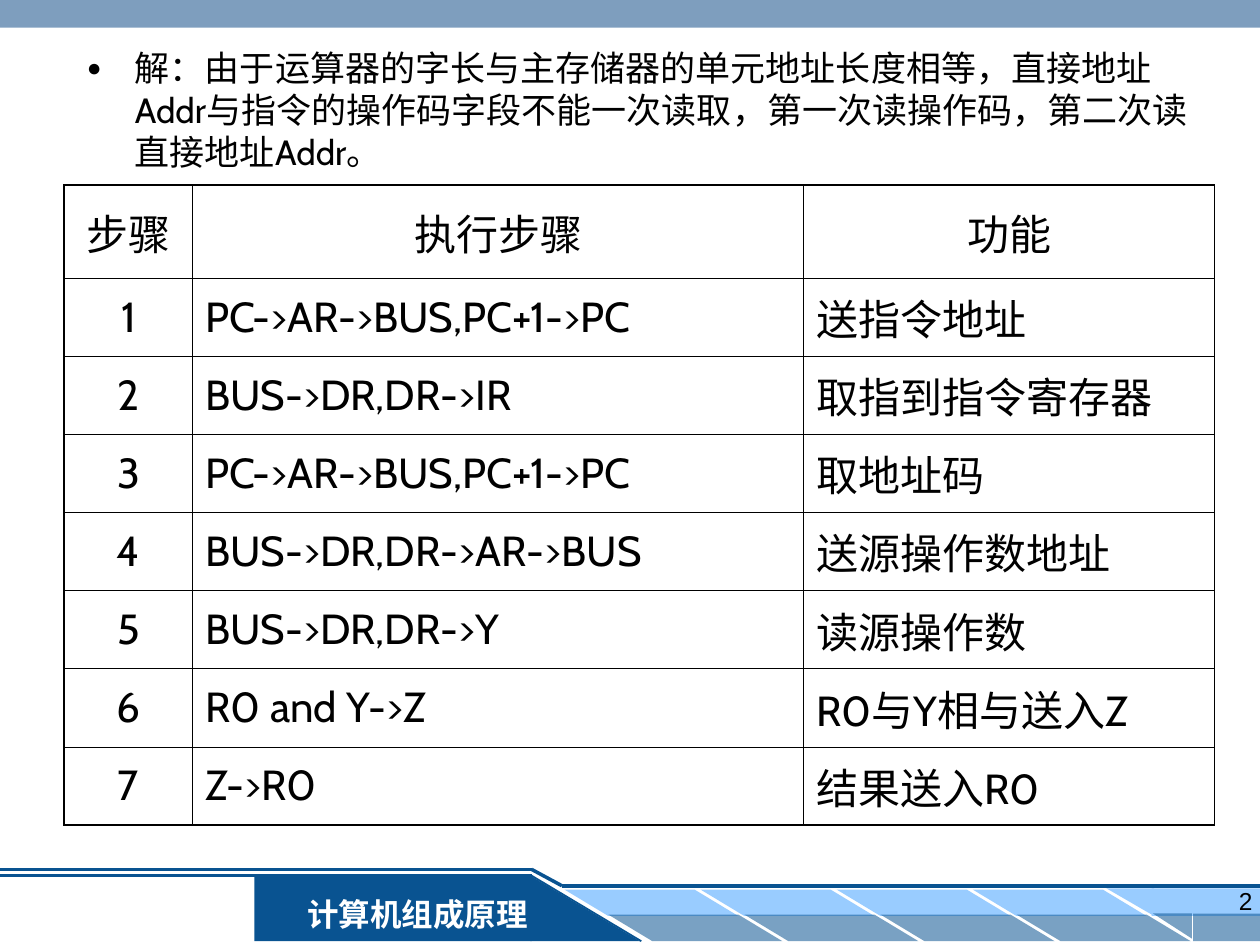
from lxml import etree
from pptx import Presentation
from pptx.dml.color import RGBColor
from pptx.enum.shapes import MSO_CONNECTOR, MSO_SHAPE as SHAPE
from pptx.enum.text import MSO_ANCHOR as ANCHOR, MSO_AUTO_SIZE as AUTO, PP_ALIGN as ALIGN
from pptx.oxml.ns import qn
from pptx.util import Inches, Pt

NAVY, SKY, STEEL = "095391", "99CCFF", "336699"
BLACK, WHITE = "000000", "FFFFFF"
THIN, THICK = 0.45, 1.08

ANSWER = ("解：由于运算器的字长与主存储器的单元地址长度相等，直接地址Addr与指令的操作码字段"
          "不能一次读取，第一次读操作码，第二次读直接地址Addr。")
HEADER = ("步骤", "执行步骤", "功能")
STEPS = [
    ("PC->AR->BUS,PC+1->PC", "送指令地址"),
    ("BUS->DR,DR->IR", "取指到指令寄存器"),
    ("PC->AR->BUS,PC+1->PC", "取地址码"),
    ("BUS->DR,DR->AR->BUS", "送源操作数地址"),
    ("BUS->DR,DR->Y", "读源操作数"),
    ("R0 and Y->Z", "R0与Y相与送入Z"),
    ("Z->R0", "结果送入R0"),
]


def color(value):
    return RGBColor.from_string(value)


def child(parent, tag, **attributes):
    """Append an XML element with the given attributes."""
    element = etree.SubElement(parent, qn(tag))
    for name, value in attributes.items():
        element.set(name, str(value))
    return element


def write(frame, text, size=24, font="Cabin", fill=BLACK, bold=False,
          align=ALIGN.LEFT, anchor=ANCHOR.TOP):
    """Put one formatted paragraph into a text frame or table cell."""
    frame.vertical_anchor = anchor
    frame.word_wrap = True
    para = getattr(frame, "text_frame", frame).paragraphs[0]
    para.alignment = align
    span = para.add_run()
    span.text = text
    span.font.size = Pt(size)
    span.font.name = font
    span.font.bold = bold
    span.font.color.rgb = color(fill)
    return para


def add_block(page, kind, left, top, width, height, fill, opacity=None, flip="", slant=None):
    box = page.shapes.add_shape(kind, Inches(left), Inches(top), Inches(width), Inches(height))
    box.shadow.inherit = False
    box.line.fill.background()
    box.fill.solid()
    box.fill.fore_color.rgb = color(fill)
    if opacity:
        tint = box.fill._xPr.find(qn("a:solidFill"))[0]
        child(tint, "a:alpha", val=opacity * 1000)
    for axis in flip:
        box._element.spPr.find(qn("a:xfrm")).set("flip" + axis, "1")
    if slant:
        box.adjustments[0] = slant
    return box


def add_rule(page, x1, y1, x2, y2, width):
    rule = page.shapes.add_connector(
        MSO_CONNECTOR.STRAIGHT, Inches(x1), Inches(y1), Inches(x2), Inches(y2))
    rule.line.color.rgb = color(NAVY)
    rule.line.width = Pt(width)
    child(rule._element.spPr, "a:effectLst")


def add_footer(page, left, top):
    """Course ribbon; the top is that of its upper rule."""
    bend, tab_top = left + 4.22, top + 0.05
    # Course tab and rules
    add_block(page, SHAPE.RECTANGLE, left + 2.02, tab_top, 2.2, 0.52, NAVY)
    add_rule(page, bend + 0.87, top + 0.57, bend, tab_top, 1)
    add_rule(page, bend, tab_top, left, tab_top, 1.5)
    add_rule(page, left, top, bend, top, 2)
    # Slanted tiles in two rows
    for number in range(4):
        x = left + 4.48 + 1.08 * number
        add_block(page, SHAPE.PARALLELOGRAM, x, top + 0.16, 1.38, 0.21, SKY, flip="H", slant=1.657)
        add_block(page, SHAPE.PARALLELOGRAM, x + 0.35, top + 0.36, 1.38, 0.21, NAVY,
                  opacity=54, flip="H", slant=1.657)
    # Tile ends at the right edge
    add_block(page, SHAPE.RECTANGLE, left + 9.14, top + 0.15, 0.86, 0.22, SKY)
    add_block(page, SHAPE.RIGHT_TRIANGLE, left + 8.78, top + 0.15, 0.38, 0.22, SKY, flip="HV")
    add_block(page, SHAPE.RECTANGLE, left + 9.47, top + 0.35, 0.53, 0.22, NAVY, opacity=54)
    add_block(page, SHAPE.RIGHT_TRIANGLE, left + 9.15, top + 0.35, 0.31, 0.2, NAVY,
              opacity=54, flip="HV")
    add_rule(page, left + 4.46, top + 0.13, left + 10, top + 0.13, 2)
    # Course name and the slope of its tab
    name = add_block(page, SHAPE.RECTANGLE, left + 2.29, top + 0.15, 2.05, 0.4, NAVY)
    write(name.text_frame, "计算机组成原理", size=18, font="Times New Roman", fill=WHITE,
          bold=True, align=ALIGN.CENTER, anchor=ANCHOR.MIDDLE)
    add_block(page, SHAPE.RIGHT_TRIANGLE, bend - 0.01, tab_top, 0.87, 0.52, NAVY)
    add_rule(page, bend, top, left + 4.46, top + 0.13, 2)
    # Page number
    box = page.shapes.add_textbox(
        Inches(left + 7.71), Inches(top + 0.08), Inches(2.33), Inches(0.52))
    write(box.text_frame, "2", size=14, font="Arial", align=ALIGN.RIGHT)


def add_answer(page, left, top, width, height):
    body = page.placeholders[1]
    body.left, body.top = Inches(left), Inches(top)
    body.width, body.height = Inches(width), Inches(height)
    frame = body.text_frame
    frame.auto_size = AUTO.NONE
    frame.margin_top = Inches(0.09)
    para = write(frame, ANSWER, size=20)
    para.space_before = Pt(0)
    para.line_spacing = Pt(24)
    # Hanging bullet
    props = para._p.get_or_add_pPr()
    props.set("marL", str(Inches(0.38)))
    props.set("indent", str(-Inches(0.38)))
    child(child(props, "a:buClr"), "a:srgbClr", val=BLACK)
    child(props, "a:buSzPct", val=70000)
    child(props, "a:buFont", typeface="Arial")
    child(props, "a:buChar", char="●")


def set_borders(cell, **widths):
    props = cell._tc.get_or_add_tcPr()
    for side in "LRTB":
        line = child(props, "a:ln" + side, w=Pt(widths[side]))
        child(child(line, "a:solidFill"), "a:srgbClr", val=BLACK)


def add_steps(page, left, top, width, height):
    rows = [HEADER] + [(str(n), *step) for n, step in enumerate(STEPS, 1)]
    last_row, last_column = len(rows) - 1, len(HEADER) - 1
    table = page.shapes.add_table(len(rows), len(HEADER), Inches(left), Inches(top),
                                  Inches(width), Inches(height)).table
    table.first_row = table.horz_banding = False
    for column, share in zip(table.columns, (1.02, 4.85, 3.26)):
        column.width = Inches(share)
    for r, values in enumerate(rows):
        table.rows[r].height = Inches(0.62 if r else 0.74)
        for c, value in enumerate(values):
            cell = table.cell(r, c)
            set_borders(cell, L=THIN if c else THICK, T=THIN if r else THICK,
                        R=THICK if c == last_column else THIN,
                        B=THICK if r == last_row else THIN)
            cell.fill.background()
            write(cell, value, anchor=ANCHOR.MIDDLE,
                  align=ALIGN.CENTER if r == 0 or c == 0 else ALIGN.LEFT)


def main():
    deck = Presentation()
    deck.slide_width, deck.slide_height = Inches(10), Inches(7.5)
    page = deck.slides.add_slide(deck.slide_layouts[1])
    title = page.shapes.title._element
    title.getparent().remove(title)
    # Top band
    add_block(page, SHAPE.RECTANGLE, 0, 0, 10, 0.22, STEEL, opacity=63)
    add_footer(page, 0, 6.9)
    add_answer(page, 0.59, 0.28, 8.98, 1.1)
    add_steps(page, 0.51, 1.47, 9.13, 5.08)
    deck.save("out.pptx")


if __name__ == "__main__":
    main()
